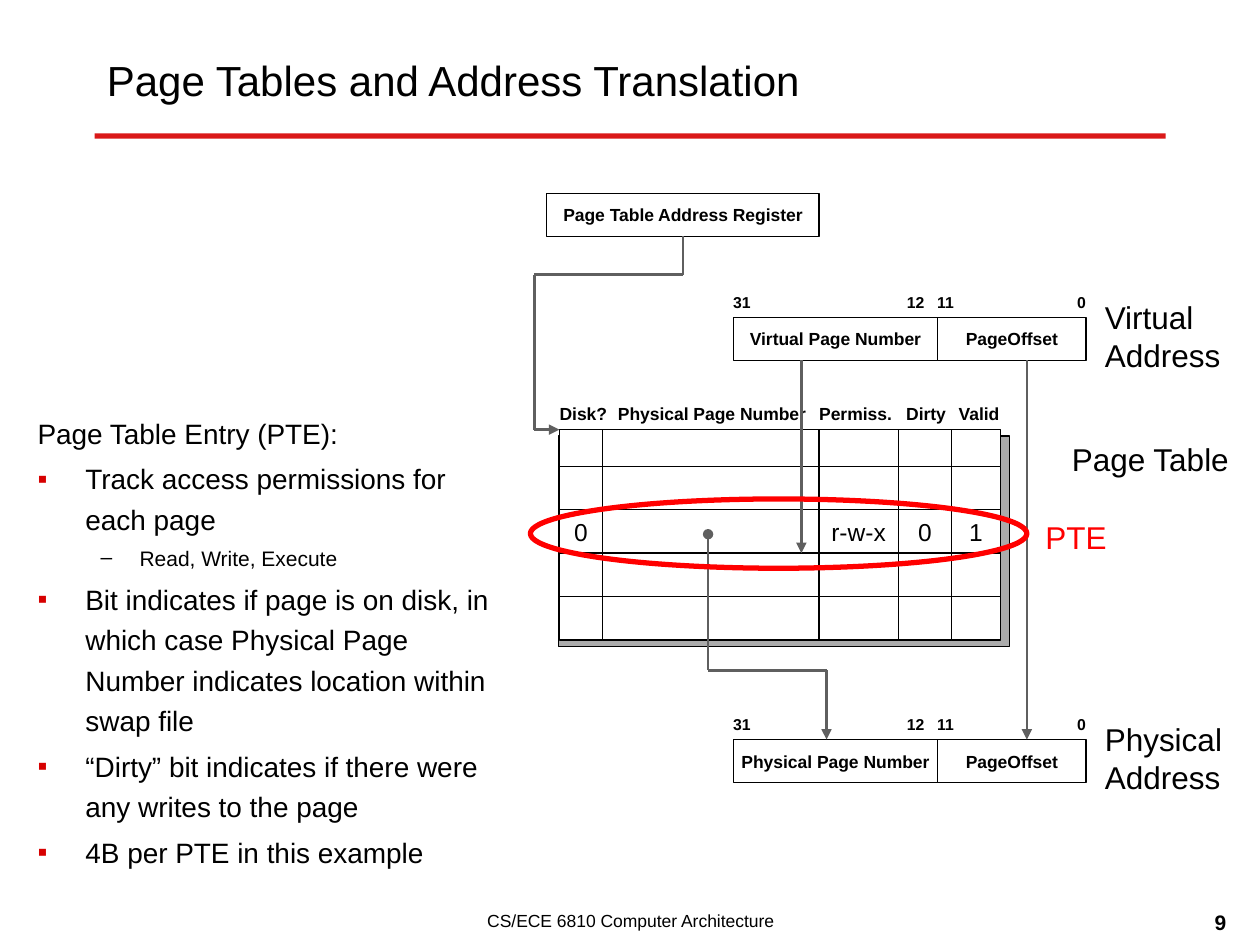
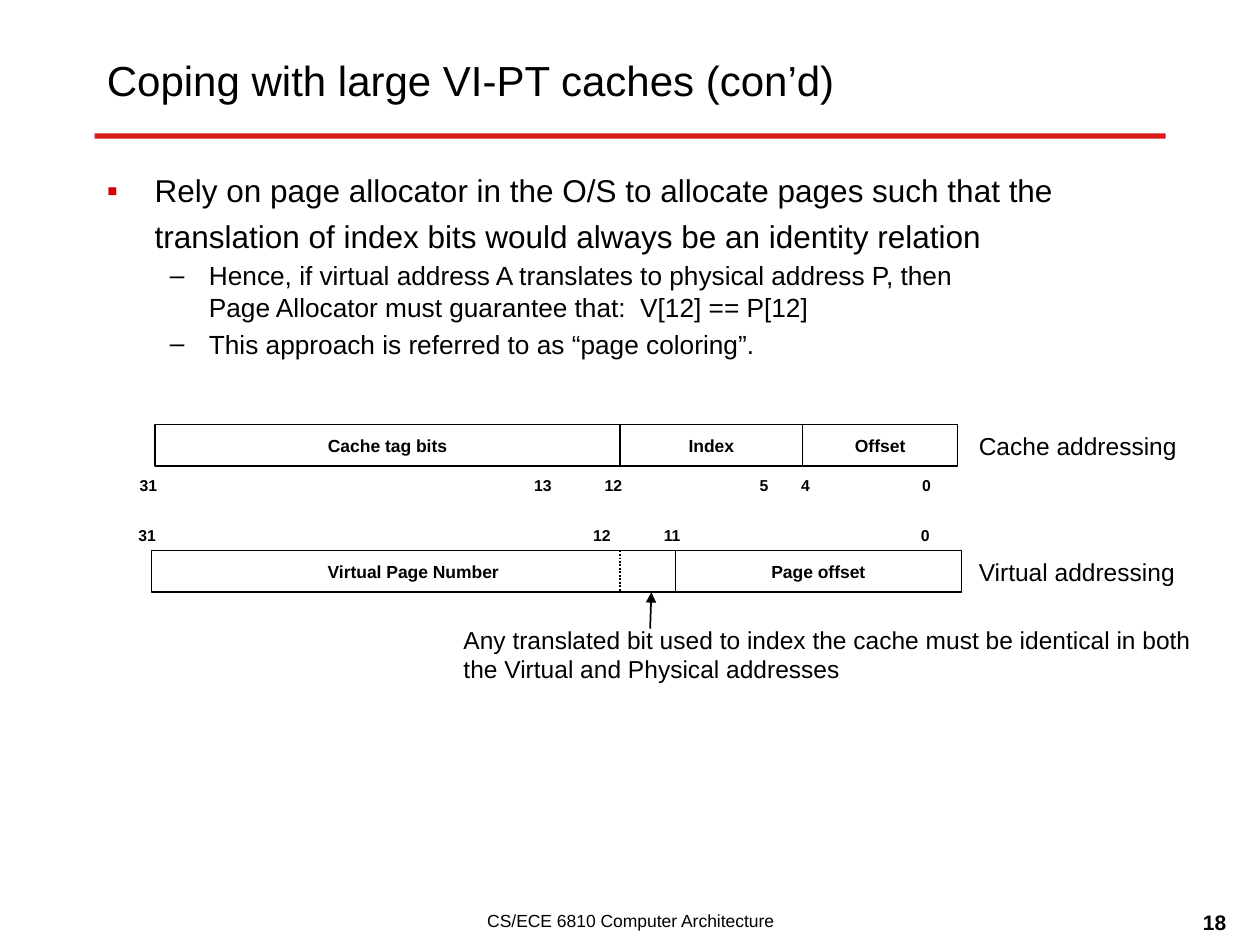
from dataclasses import dataclass
from itertools import pairwise
from typing import NamedTuple

from lxml.etree import SubElement
from pptx import Presentation
from pptx.dml.color import RGBColor
from pptx.enum.dml import MSO_LINE
from pptx.enum.shapes import MSO_CONNECTOR, MSO_SHAPE
from pptx.enum.text import MSO_ANCHOR as Anchor, PP_ALIGN as Align
from pptx.oxml.ns import qn
from pptx.util import Inches, Pt

SLIDE_WIDTH, SLIDE_HEIGHT = Inches(10), Inches(7.5)
COLUMNS, ROWS = 100, 75


@dataclass(frozen=True)
class Theme:
    """Colours, type sizes and line widths shared by both slides."""
    font: str = "Arial"
    ink: str = "000000"
    paper: str = "FFFFFF"
    accent: str = "D70000"
    highlight: str = "FF0000"
    wire: str = "5F5F5F"
    shade: str = "ABABAB"
    title: int = 24
    lead: int = 18
    body: int = 16
    detail: int = 15
    note: int = 14
    small: int = 12
    field: int = 10
    bit: int = 9
    thin: float = 0.75
    pointer: float = 1
    route: float = 1.5
    heavy: float = 3


THEME = Theme()


class Box(NamedTuple):
    """Place on the grid, in columns and rows."""
    left: float
    top: float
    width: float
    height: float


class Style(NamedTuple):
    """Look of one piece of text."""
    size: int
    bold: bool = False
    color: str = THEME.ink
    align: Align = Align.LEFT
    anchor: Anchor = Anchor.TOP
    wrap: bool = False


class Bullet(NamedTuple):
    """Mark and indents of an outline level, in columns."""
    mark: str
    color: str
    margin: float
    hang: float


class Point(NamedTuple):
    """One paragraph of an outline."""
    text: str
    size: int
    bullet: Bullet | None = None
    spacing: float = 1.2


class Field(NamedTuple):
    """One bit field of an address."""
    name: str
    left: float
    width: float


class Bit(NamedTuple):
    """A bit number and the left edge of its label."""
    number: str
    left: float


class EntryColumn(NamedTuple):
    """A page table column with its heading and its value in the marked entry."""
    heading: str
    heading_middle: float
    heading_width: float
    left: float
    width: float
    value: str


MAIN = Bullet("▪", THEME.accent, 3.8, 3.8)
SUB = Bullet("–", THEME.ink, 8.1, 3.1)
FIELD = Style(THEME.field, True, align=Align.CENTER, anchor=Anchor.MIDDLE)
BIT = Style(THEME.bit, True)
LEAD = Style(THEME.lead)
NOTE = Style(THEME.note)
VALUE = Style(THEME.note, align=Align.CENTER, anchor=Anchor.MIDDLE)

ENTRY_COLUMNS = (
    EntryColumn("Disk?", 46.3, 7, 44.4, 3.4, "0"),
    EntryColumn("Physical Page Number", 56.5, 19.3, 47.8, 17.2, ""),
    EntryColumn("Permiss.", 67.9, 9, 65, 6.3, "r-w-x"),
    EntryColumn("Dirty", 73.5, 7, 71.3, 4.2, "0"),
    EntryColumn("Valid", 77.7, 7, 75.5, 3.9, "1"),
)
ENTRY_EDGES = (34.1, 37, 40.45, 43.9, 47.35, 50.8)
MARKED_ENTRY = 2

PTE_NOTES = (
    Point("Page Table Entry (PTE):", THEME.body),
    Point("Track access permissions for each page", THEME.body, MAIN),
    Point("Read, Write, Execute", THEME.small, SUB),
    Point("Bit indicates if page is on disk, in which case Physical Page Number "
          "indicates location within swap file", THEME.body, MAIN),
    Point("“Dirty” bit indicates if there were any writes to the page", THEME.body, MAIN),
    Point("4B per PTE in this example", THEME.body, MAIN),
)
COLORING_NOTES = (
    Point("Rely on page allocator in the O/S to allocate pages such that the translation "
          "of index bits would always be an identity relation", THEME.lead, MAIN),
    Point("Hence, if virtual address A translates to physical address P, then \v"
          "Page Allocator must guarantee that:  V[12] == P[12]", THEME.detail, SUB, 1),
    Point("This approach is referred to as “page coloring”.", THEME.detail, SUB, 1),
)


def col(count: float) -> int:
    """Length of a number of grid columns."""
    return round(SLIDE_WIDTH * count / COLUMNS)


def row(count: float) -> int:
    """Length of a number of grid rows."""
    return round(SLIDE_HEIGHT * count / ROWS)


def place(box: Box) -> tuple[int, int, int, int]:
    """Slide position and size of a grid box."""
    return col(box.left), row(box.top), col(box.width), row(box.height)


def style_paragraph(paragraph, style: Style) -> None:
    """Apply font and alignment to a paragraph."""
    paragraph.alignment = style.align
    font = paragraph.font
    font.name, font.size, font.bold = THEME.font, Pt(style.size), style.bold
    font.color.rgb = RGBColor.from_string(style.color)


def write(frame, text: str, style: Style) -> None:
    """Fill a text frame, one paragraph a line."""
    frame.word_wrap, frame.vertical_anchor = style.wrap, style.anchor
    frame.text = text
    for paragraph in frame.paragraphs:
        style_paragraph(paragraph, style)


def add_label(slide, box: Box, text: str, style: Style) -> None:
    """Add free text."""
    write(slide.shapes.add_textbox(*place(box)).text_frame, text, style)


def add_block(slide, box: Box, text: str = "", style: Style = FIELD,
              fill: str | None = THEME.paper, outline: str = THEME.ink,
              weight: float = THEME.thin, kind: MSO_SHAPE = MSO_SHAPE.RECTANGLE) -> None:
    """Add an outlined shape, with text if there is any."""
    block = slide.shapes.add_shape(kind, *place(box))
    block.shadow.inherit = False
    if fill:
        block.fill.solid()
        block.fill.fore_color.rgb = RGBColor.from_string(fill)
    else:
        block.fill.background()
    block.line.color.rgb = RGBColor.from_string(outline)
    block.line.width = Pt(weight)
    if text:
        write(block.text_frame, text, style)


def add_route(slide, *stops: tuple[float, float], color: str = THEME.wire,
              weight: float = THEME.route, head: str = "", tail: str = "",
              dash: MSO_LINE | None = None, opacity: int = 100) -> None:
    """Join the stops by straight lines with optional end marks."""
    legs = list(pairwise(stops))
    for number, (start, end) in enumerate(legs):
        leg = slide.shapes.add_connector(MSO_CONNECTOR.STRAIGHT, col(start[0]), row(start[1]),
                                         col(end[0]), row(end[1]))
        leg.line.color.rgb = RGBColor.from_string(color)
        leg.line.width = Pt(weight)
        if dash:
            leg.line.dash_style = dash
        properties = leg._element.spPr
        outline = properties.find(qn("a:ln"))
        if opacity < 100:
            tint = outline.find(".//" + qn("a:srgbClr"))
            SubElement(tint, qn("a:alpha"), val=str(opacity * 1000))
        if head and number == 0:
            SubElement(outline, qn("a:headEnd"), type=head)
        if tail and number == len(legs) - 1:
            SubElement(outline, qn("a:tailEnd"), type=tail)
        SubElement(properties, qn("a:effectLst"))


def add_outline(slide, box: Box, points: tuple[Point, ...]) -> None:
    """Add a bulleted outline."""
    frame = slide.shapes.add_textbox(*place(box)).text_frame
    frame.word_wrap = True
    for number, point in enumerate(points):
        paragraph = frame.add_paragraph() if number else frame.paragraphs[0]
        paragraph.text = point.text
        paragraph.line_spacing = point.spacing
        properties = paragraph._p.get_or_add_pPr()
        before = SubElement(properties, qn("a:spcBef"))
        SubElement(before, qn("a:spcPct"), val="20000")
        if point.bullet:
            properties.set("marL", str(col(point.bullet.margin)))
            properties.set("indent", str(-col(point.bullet.hang)))
            tint = SubElement(properties, qn("a:buClr"))
            SubElement(tint, qn("a:srgbClr"), val=point.bullet.color)
            SubElement(properties, qn("a:buFont"), typeface=THEME.font)
            SubElement(properties, qn("a:buChar"), char=point.bullet.mark)
        style_paragraph(paragraph, Style(point.size))


def add_fields(slide, top: float, height: float, *fields: Field) -> None:
    """Add the bit fields of an address side by side."""
    for field in fields:
        add_block(slide, Box(field.left, top, field.width, height), field.name)


def add_bits(slide, top: float, width: float, *bits: Bit) -> None:
    """Add a row of bit numbers."""
    for bit in bits:
        add_label(slide, Box(bit.left, top, width, 2.5), bit.number, BIT)


def add_address(slide, top: float, page_field: str, name: str) -> None:
    """Add a 32-bit address with page number, offset and name."""
    add_fields(slide, top, 3.4, Field(page_field, 58.2, 16.2), Field("PageOffset", 74.4, 11.8))
    add_bits(slide, top - 2.5, 3.4, Bit("31", 57.2), Bit("12", 71), Bit("11", 73.4), Bit("0", 84.5))
    add_label(slide, Box(86.7, top - 2.05, 11.3, 7), name, LEAD)


def add_page_table(slide) -> None:
    """Add the page table with its headings and marked entry."""
    add_block(slide, Box(44.3, 34.6, 35.8, 16.7), fill=THEME.shade)
    for column in ENTRY_COLUMNS:
        heading_left = column.heading_middle - column.heading_width / 2
        add_label(slide, Box(heading_left, 31.1, column.heading_width, 3.4),
                  column.heading, FIELD)
        for number, (top, bottom) in enumerate(pairwise(ENTRY_EDGES)):
            add_block(slide, Box(column.left, top, column.width, bottom - top),
                      column.value if number == MARKED_ENTRY else "", VALUE)


def start_slide(deck, title: str, number: int):
    """Add a slide with its title, rule and footer."""
    slide = deck.slides.add_slide(deck.slide_layouts[6])
    add_route(slide, (7.5, 10.8), (92.5, 10.8), color=THEME.accent, weight=THEME.heavy, opacity=89)
    add_label(slide, Box(7.5, 1.7, 83.3, 9.2), title,
              Style(THEME.title, anchor=Anchor.MIDDLE, wrap=True))
    add_label(slide, Box(31.7, 71.7, 36.7, 3.3), "CS/ECE 6810 Computer Architecture",
              Style(THEME.field, align=Align.CENTER, wrap=True))
    add_label(slide, Box(77.5, 71.7, 20.8, 3.3), str(number),
              Style(THEME.small, True, align=Align.RIGHT, wrap=True))
    return slide


def build_translation(deck) -> None:
    """Build the slide on page tables."""
    slide = start_slide(deck, "Page Tables and Address Translation", 9)
    add_outline(slide, Box(2, 32, 38.6, 40.2), PTE_NOTES)
    add_block(slide, Box(43.4, 15.35, 21.6, 3.4), "Page Table Address Register")
    add_page_table(slide)
    add_address(slide, 25.2, "Virtual Page Number", "Virtual\nAddress")
    add_address(slide, 58.7, "Physical Page Number", "Physical\nAddress")
    add_route(slide, (54.2, 18.75), (54.2, 21.8), (42.4, 21.8), (42.4, 34.1), (44.4, 34.1),
              tail="triangle")
    add_route(slide, (63.6, 28.6), (63.6, 43.9), tail="triangle")
    add_route(slide, (56.2, 42.4), (56.2, 53.2), (65.6, 53.2), (65.6, 58.7),
              head="oval", tail="triangle")
    add_route(slide, (81.5, 28.6), (81.5, 58.7), tail="triangle")
    add_label(slide, Box(82.6, 34.4, 17.4, 4), "Page Table", LEAD._replace(align=Align.CENTER))
    add_block(slide, Box(42.1, 39.6, 39.4, 5.5), fill=None, outline=THEME.highlight,
              weight=THEME.heavy, kind=MSO_SHAPE.OVAL)
    add_label(slide, Box(80.7, 40.6, 9.4, 4), "PTE",
              LEAD._replace(color=THEME.highlight, align=Align.CENTER))


def build_coloring(deck) -> None:
    """Build the slide on page coloring."""
    slide = start_slide(deck, "Coping with large VI-PT caches (con’d)", 18)
    add_outline(slide, Box(7.5, 12.5, 85, 32.9), COLORING_NOTES)
    add_fields(slide, 33.7, 3.3, Field("Cache tag bits", 12.3, 36.9),
               Field("Index", 49.2, 14.5), Field("Offset", 63.7, 12.3))
    add_bits(slide, 37.3, 7, Bit("31", 10.1), Bit("13", 41.4), Bit("12", 47),
             Bit("5", 59.3), Bit("4", 62.6), Bit("0", 72.2))
    add_bits(slide, 41.2, 7, Bit("31", 10), Bit("12", 46.1), Bit("11", 51.7), Bit("0", 72.1))
    add_fields(slide, 43.7, 3.3, Field("Virtual Page Number", 12, 41.6),
               Field("Page offset", 53.6, 22.7))
    for name, top in (("Cache addressing", 33.7), ("Virtual addressing", 43.7)):
        add_label(slide, Box(76.7, top, 17.7, 3.3), name, NOTE)
    add_label(slide, Box(35.8, 49.1, 60.1, 5.7),
              "Any translated bit used to index the cache must be identical in both "
              "the Virtual and Physical addresses", NOTE._replace(wrap=True))
    add_route(slide, (51.6, 49.9), (51.7, 47), color=THEME.ink, weight=THEME.pointer,
              tail="triangle")
    add_route(slide, (49.2, 43.7), (49.2, 47), color=THEME.ink, weight=THEME.pointer,
              dash=MSO_LINE.ROUND_DOT)


def main() -> None:
    """Build and save the deck."""
    deck = Presentation()
    deck.slide_width, deck.slide_height = SLIDE_WIDTH, SLIDE_HEIGHT
    build_translation(deck)
    build_coloring(deck)
    deck.save("out.pptx")


if __name__ == "__main__":
    main()
